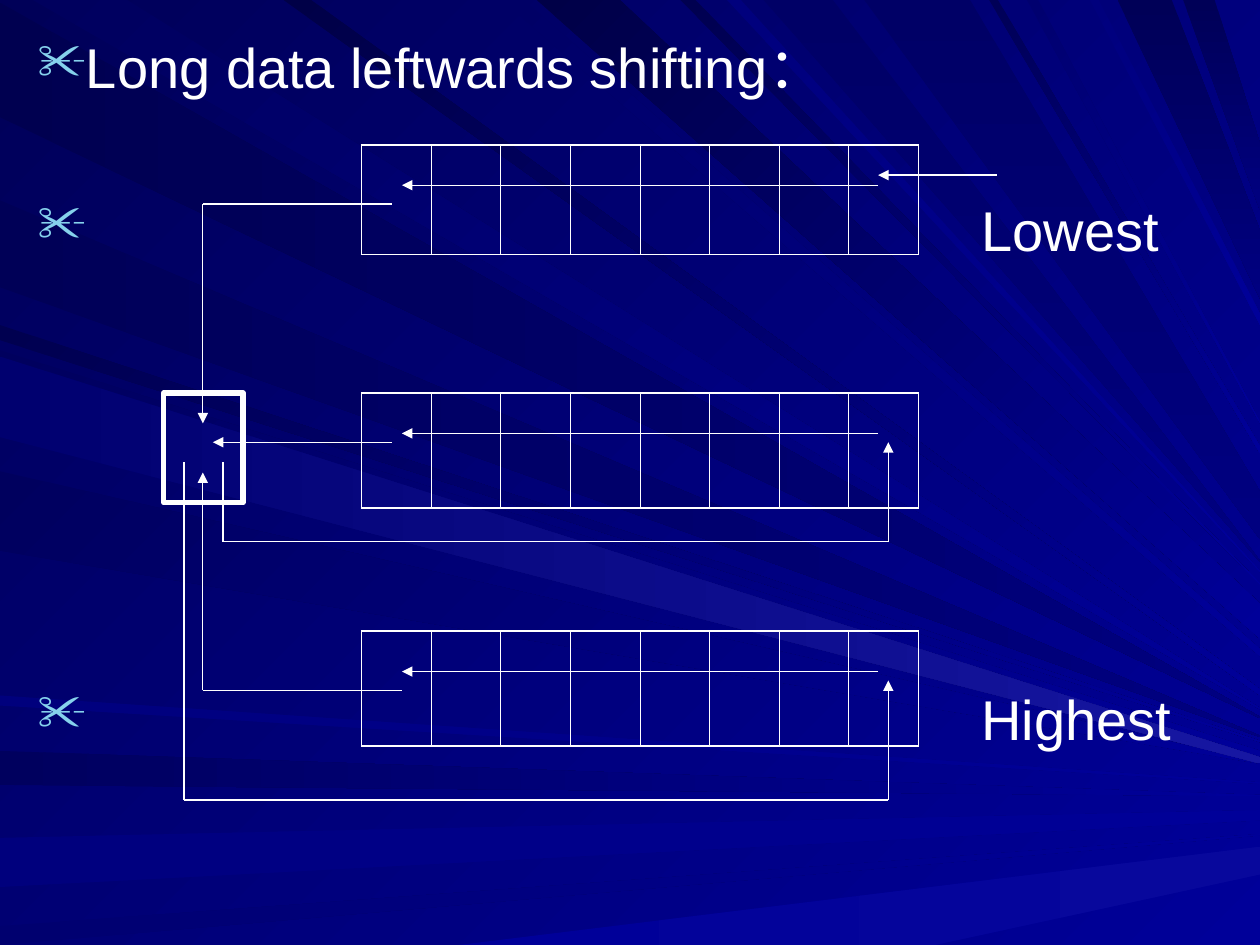
from itertools import pairwise
from typing import NamedTuple

from lxml import etree
from pptx import Presentation
from pptx.dml.color import RGBColor
from pptx.enum.shapes import MSO_CONNECTOR, MSO_SHAPE
from pptx.oxml.ns import qn
from pptx.util import Cm, Pt

RECTANGLE, STRAIGHT = MSO_SHAPE.RECTANGLE, MSO_CONNECTOR.STRAIGHT

COLORS = {"text": "FFFFFF", "line": "FFFFFF", "scissors": "86D1EC", "bg_start": "000058",
          "navy": "000080", "royal": "000099", "glow": "1717A2", "haze": "08089C",
          "ink": "000047", "abyss": "000050", "deep": "000057", "night": "00005E",
          "dusk": "000066", "evening": "00006F", "marine": "00007D"}

GRID = Cm(0.0254)  # layout step: a hundredth of an inch
SLIDE_WIDTH, SLIDE_HEIGHT = 1000, 750
TEXT_FORMAT = {"size": Pt(32), "name": "Arial"}
LABEL_TAB = 749
THICK, THIN = 1.08, 0.45
BIT_COUNT = 8
REGISTER_LEFT, REGISTER_WIDTH = 287, 442
FIRST_BIT, LAST_BIT, BIT_MIDDLE = 319, 697, 705
SHIFT_DROP = 32  # from the top of a register to its shift arrow
CARRY_MIDDLE = 161

Point = tuple[int, int]


class Ray(NamedTuple):
    """A strip from one slide edge to the right edge."""
    shade: str
    near: int
    width: int
    far: int
    far_width: int = 1


class Fan(NamedTuple):
    edge: str
    end: str
    angle: int
    rays: list[Ray]


class Register(NamedTuple):
    top: int
    height: int


class Route(NamedTuple):
    points: list[Point]


class Line(NamedTuple):
    text: str
    space_before: float


FANS = [
    Fan("left", "navy", 0, [Ray("abyss", 2, 91, 569), Ray("deep", 159, 69, 584)]),
    Fan("left", "royal", 0, [Ray("night", 596, 27, 631), Ray("marine", 665, 39, 643, 8),
                             Ray("evening", 735, 15, 662), Ray("marine", 552, 8, 621)]),
    Fan("bottom", "haze", 0, [Ray("royal", 364, 378, 672, 22)]),
    Fan("top", "royal", 45, [
        Ray("night", 101, -75, 562), Ray("dusk", 416, -18, 515, 6),
        Ray("ink", 492, -66, 479, 28), Ray("abyss", 552, -12, 463),
        Ray("ink", 247, -22, 547, 5), Ray("marine", 588, -11, 453),
        Ray("deep", 792, -7, 354, 6), Ray("evening", 824, -9, 335),
        Ray("marine", 872, -7, 249, 9)]),
    Fan("top", "navy", 90, [
        Ray("dusk", 661, -55, 445), Ray("deep", 930, -43, 183, 54),
        Ray("deep", 964, -25, 114, 53), Ray("dusk", 770, -84, 390, 38)]),
    Fan("left", "royal", 45, [Ray("abyss", 258, 12, 588), Ray("night", 278, 64, 596, 6),
                              Ray("night", 374, 63, 605)]),
    Fan("left", "glow", 0, [Ray("evening", 283, 64, 601, 5)]),
]
REGISTERS = [Register(115, 87), Register(312, 91), Register(501, 91)]
ROUTES = [Route([(LAST_BIT, register.top + SHIFT_DROP), (FIRST_BIT, register.top + SHIFT_DROP)])
          for register in REGISTERS]
ROUTES += [
    # Into the lowest bit
    Route([(791, 139), (LAST_BIT, 139)]),
    # From each register into the carry box
    Route([(311, 162), (CARRY_MIDDLE, 162), (CARRY_MIDDLE, 336)]),
    Route([(311, 351), (169, 351)]),
    Route([(FIRST_BIT, 548), (CARRY_MIDDLE, 548), (CARRY_MIDDLE, 375)]),
    # From the carry box into the next registers
    Route([(177, 367), (177, 430), (BIT_MIDDLE, 430), (BIT_MIDDLE, 351)]),
    Route([(146, 367), (146, 635), (BIT_MIDDLE, 635), (BIT_MIDDLE, 540)]),
]
LINES = [Line("Long data leftwards shifting：", 0), Line("\tLowest", 54.6),
         Line("\tHighest", 240.9)]


def rgb(key: str) -> RGBColor:
    return RGBColor.from_string(COLORS[key])


def grid(*steps: int) -> list[int]:
    return [round(step * GRID) for step in steps]


def add_xml(parent, tag: str, **attributes: str):
    return etree.SubElement(parent, qn(tag), attributes)


def paint(fill, start: str, end: str, angle: int) -> None:
    fill.gradient()
    fill.gradient_angle = (360 - angle) % 360
    for stop, position, key in zip(fill.gradient_stops, (0, 1), (start, end)):
        stop.position = position
        stop.color.rgb = rgb(key)


def edge_point(edge: str, distance: int) -> Point:
    if edge == "left":
        return 0, distance
    return distance, 0 if edge == "top" else SLIDE_HEIGHT


def draw_ray(shapes, fan: Fan, ray: Ray) -> None:
    builder = shapes.build_freeform(*edge_point(fan.edge, ray.near), scale=GRID)
    builder.add_line_segments([(SLIDE_WIDTH, ray.far), (SLIDE_WIDTH, ray.far + ray.far_width),
                               edge_point(fan.edge, ray.near + ray.width)], close=True)
    beam = builder.convert_to_shape()
    beam.shadow.inherit = False
    beam.line.fill.background()
    paint(beam.fill, ray.shade, fan.end, fan.angle)


def draw_register(shapes, register: Register) -> None:
    box = grid(REGISTER_LEFT, register.top, REGISTER_WIDTH, register.height)
    table = shapes.add_table(1, BIT_COUNT, *box).table
    table.first_row = table.horz_banding = False
    for index, column in enumerate(table.columns):
        column.width = box[2] // BIT_COUNT
        cell = table.cell(0, index)
        widths = {"a:lnL": THIN if index else THICK,
                  "a:lnR": THIN if index < BIT_COUNT - 1 else THICK,
                  "a:lnT": THICK, "a:lnB": THICK}
        properties = cell._tc.get_or_add_tcPr()
        for tag, width in widths.items():
            border = add_xml(properties, tag, w=str(Pt(width)))
            add_xml(add_xml(border, "a:solidFill"), "a:srgbClr", val=COLORS["line"])
        cell.fill.background()


def draw_route(shapes, route: Route) -> None:
    for begin, end in pairwise(route.points):
        segment = shapes.add_connector(STRAIGHT, *grid(*begin, *end))
        segment.line.width = Pt(0.75)
        segment.line.color.rgb = rgb("line")
        if end == route.points[-1]:
            add_xml(segment.line._get_or_add_ln(), "a:tailEnd", type="triangle")
        add_xml(segment._element.spPr, "a:effectLst")


def draw_text(shapes, lines: list[Line]) -> None:
    frame = shapes.add_textbox(*grid(20, 21, 961, 709)).text_frame
    frame.word_wrap = True
    for index, line in enumerate(lines):
        paragraph = frame.add_paragraph() if index else frame.paragraphs[0]
        properties = paragraph._p.get_or_add_pPr()
        indent = grid(38)[0]
        properties.set("marL", str(indent))
        properties.set("indent", str(-indent))
        add_xml(add_xml(properties, "a:buClr"), "a:srgbClr", val=COLORS["scissors"])
        add_xml(properties, "a:buSzPct", val="90000")
        add_xml(properties, "a:buChar", char="✂")
        add_xml(add_xml(properties, "a:tabLst"), "a:tab", pos=str(grid(LABEL_TAB)[0]), algn="l")
        paragraph.space_before = Pt(line.space_before)
        run = paragraph.add_run()
        run.text = line.text
        for attribute, value in TEXT_FORMAT.items():
            setattr(run.font, attribute, value)
        run.font.color.rgb = rgb("text")


def main() -> None:
    deck = Presentation()
    deck.slide_width, deck.slide_height = grid(SLIDE_WIDTH, SLIDE_HEIGHT)
    slide = deck.slides.add_slide(deck.slide_layouts[6])
    shapes = slide.shapes

    # Background with light rays
    paint(slide.background.fill, "bg_start", "royal", 45)
    for fan in FANS:
        for ray in fan.rays:
            draw_ray(shapes, fan, ray)

    # Heading and register labels
    draw_text(shapes, LINES)

    # Registers and the carry box
    for register in REGISTERS:
        draw_register(shapes, register)
    carry = shapes.add_shape(RECTANGLE, *grid(130, 312, 63, 87))
    carry.shadow.inherit = False
    carry.fill.background()
    carry.line.color.rgb = rgb("line")
    carry.line.width = Pt(3)

    # Paths the bits take
    for route in ROUTES:
        draw_route(shapes, route)

    deck.save("out.pptx")


if __name__ == "__main__":
    main()
